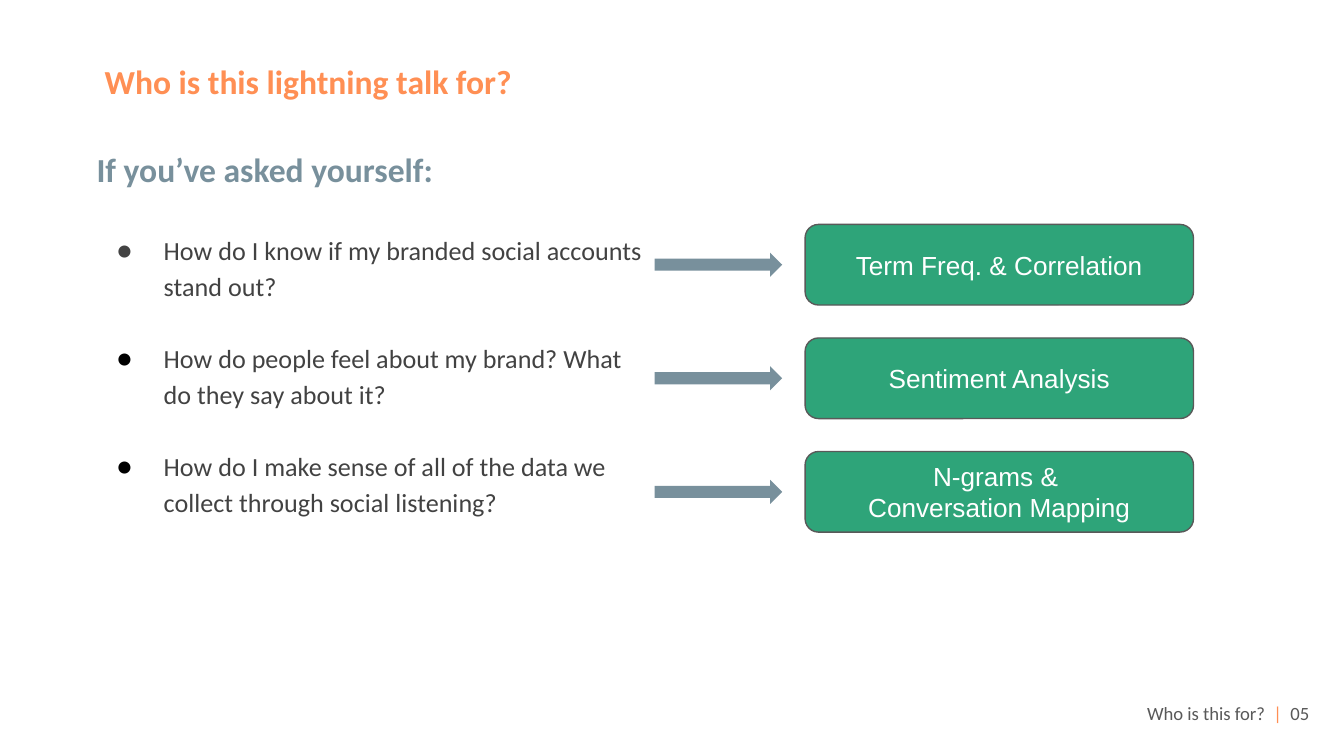
from lxml import etree
from pptx import Presentation
from pptx.dml.color import RGBColor
from pptx.enum.shapes import MSO_SHAPE
from pptx.enum.text import MSO_ANCHOR, PP_ALIGN
from pptx.oxml.ns import qn
from pptx.util import Inches, Pt

ROUND_RECT = MSO_SHAPE.ROUNDED_RECTANGLE
RIGHT_ARROW = MSO_SHAPE.RIGHT_ARROW
TOP, MIDDLE = MSO_ANCHOR.TOP, MSO_ANCHOR.MIDDLE
LEFT, CENTER, RIGHT = PP_ALIGN.LEFT, PP_ALIGN.CENTER, PP_ALIGN.RIGHT

ORANGE = "FF8F54"
SLATE = "78909C"
GREEN = "2EA479"
GRAY = "595959"
DARK = "424242"

QUESTIONS = [
    ("How do I know if my branded social accounts stand out?", "434343"),
    ("How do people feel about my brand? What do they say about it?", "000000"),
    ("How do I make sense of all of the data we collect through social listening?", "000000"),
]
ANSWERS = ["Term Freq. & Correlation", "Sentiment Analysis", "N-grams & \nConversation Mapping"]
FIRST_ROW, ROW_STEP = 1.67, 0.845


def rgb(value):
    return RGBColor.from_string(value)


def add_text(p, text, size=14, color=DARK, font="Calibri", bold=False):
    for i, line in enumerate(text.split("\n")):
        if i:
            p.add_line_break()
        r = p.add_run()
        r.text = line
        r.font.size = Pt(size)
        r.font.name = font
        r.font.bold = bold
        r.font.color.rgb = rgb(color)


def add_bullet(p, color):
    pPr = p._p.get_or_add_pPr()
    pPr.set("marL", str(Inches(0.5)))
    pPr.set("indent", str(Inches(-0.35)))
    bu_clr = etree.SubElement(pPr, qn("a:buClr"))
    etree.SubElement(bu_clr, qn("a:srgbClr"), val=color)
    etree.SubElement(pPr, qn("a:buFont"), typeface="Calibri")
    etree.SubElement(pPr, qn("a:buChar"), char="●")


def format_frame(tf, anchor):
    tf.word_wrap = True
    tf.vertical_anchor = anchor
    tf.margin_left = tf.margin_right = Inches(0.1)
    tf.margin_top = tf.margin_bottom = Inches(0.1)


def add_text_box(s, x, y, w, h, anchor=MIDDLE, align=LEFT):
    tf = s.shapes.add_textbox(Inches(x), Inches(y), Inches(w), Inches(h)).text_frame
    format_frame(tf, anchor)
    tf.paragraphs[0].alignment = align
    return tf


def add_block(s, kind, x, y, w, h, fill, line=None):
    sp = s.shapes.add_shape(kind, Inches(x), Inches(y), Inches(w), Inches(h))
    sp.shadow.inherit = False
    sp.fill.solid()
    sp.fill.fore_color.rgb = rgb(fill)
    if line:
        sp.line.color.rgb = rgb(line)
        sp.line.width = Pt(0.75)
    else:
        sp.line.fill.background()
    return sp


def add_questions(s):
    tf = add_text_box(s, 0.62, 0.96, 4.3, 4.11, anchor=TOP)
    p = tf.paragraphs[0]
    p.line_spacing = 1.15
    p.space_after = Pt(2.7)
    add_text(p, "If you’ve asked yourself:", size=18, color=SLATE, bold=True)
    for question, bullet_color in QUESTIONS:
        p = tf.add_paragraph()
        p.line_spacing = 1.15
        p.space_before = Pt(19.3)
        add_bullet(p, bullet_color)
        add_text(p, question)


def add_answer(s, y, text):
    tf = add_block(s, ROUND_RECT, 5.99, y, 2.89, 0.6, GREEN, line=GRAY).text_frame
    format_frame(tf, MIDDLE)
    p = tf.paragraphs[0]
    p.alignment = CENTER
    add_text(p, text, color="FFFFFF", font="Arial")
    add_block(s, RIGHT_ARROW, 4.87, y + 0.21, 0.95, 0.18, SLATE)


def add_footer(s):
    p = add_text_box(s, 8.16, 5.09, 1.68, 0.43, align=RIGHT).paragraphs[0]
    for text, color in [("Who is this for?  ", GRAY), ("|", ORANGE), ("  05", GRAY)]:
        add_text(p, text, size=10, color=color)


def main():
    prs = Presentation()
    prs.slide_width = Inches(10)
    prs.slide_height = prs.slide_width * 9 // 16
    s = prs.slides.add_slide(prs.slide_layouts[6])
    add_questions(s)
    add_footer(s)
    title = add_text_box(s, 0.68, 0.23, 8.91, 0.75)
    add_text(title.paragraphs[0], "Who is this lightning talk for?", size=18, color=ORANGE, bold=True)
    for i, answer in enumerate(ANSWERS):
        add_answer(s, FIRST_ROW + i * ROW_STEP, answer)
    prs.save("out.pptx")


if __name__ == "__main__":
    main()
